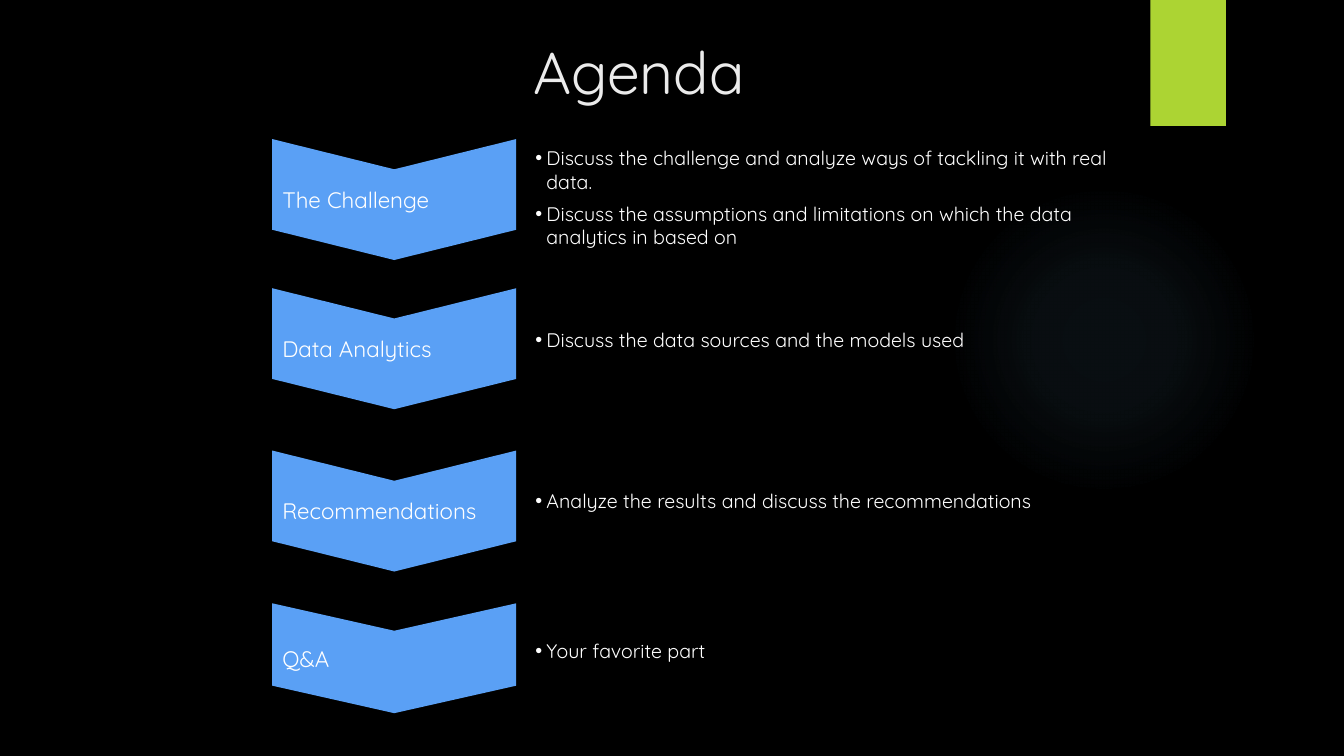
"""Build the agenda slide with four chevron steps and their notes."""
from lxml import etree
from pptx import Presentation, util as u
from pptx.dml.color import RGBColor
from pptx.enum import shapes, text
from pptx.oxml import ns, parse_xml

STEPS = [
    ("The Challenge", 1.98, 1.2, 1.45, 0.98, 5.96, [
        "Discuss the challenge and analyze ways of tackling it with real data.",
        "Discuss the assumptions and limitations on which the data analytics in based on"]),
    ("Data Analytics", 3.46, 1.2, 3.25, 0.24, 5.96,
     ["Discuss the data sources and the models used"]),
    ("Recommendations", 5.07, 1.2, 4.85, 0.24, 6.4,
     ["Analyze the results and discuss the recommendations"]),
    ("Q&A", 6.53, 1.09, 6.34, 0.24, 5.96, ["Your favorite part"]),
]


def hue(code):
    return RGBColor.from_string(code)


def apply(item, form):
    for name, value in form.items():
        setattr(item, name, value)


class Deck:
    """Hold the style and the current slide."""
    font = "Quicksand"
    blue, lime, glow = "5AA0F5", "ACD433", "7AC4F0"
    white, pale, black = "FFFFFF", "EBEBEB", "000000"
    chevron = (2.7, 2.42)

    def __init__(self):
        self.prs = Presentation()
        apply(self.prs, {"slide_width": u.Inches(13.33), "slide_height": u.Inches(7.5)})
        self.slide = self.prs.slides.add_slide(self.prs.slide_layouts[4])
        back = self.slide.background.fill
        back.solid()
        back.fore_color.rgb = hue(self.black)

    def place(self, item, left, top, width, height):
        apply(item, {"left": u.Inches(left), "top": u.Inches(top),
                     "width": u.Inches(width), "height": u.Inches(height)})

    def label(self, frame, lines, size, color, align, inset=0, before=0,
              anchor=text.MSO_ANCHOR.TOP):
        frame.text = "\n".join(lines)
        apply(frame, {"word_wrap": True, "auto_size": text.MSO_AUTO_SIZE.NONE,
                      "vertical_anchor": anchor})
        apply(frame, {"margin_" + side: u.Inches(inset)
                      for side in ("left", "top", "right", "bottom")})
        for para in frame.paragraphs:
            apply(para, {"alignment": align, "space_before": u.Pt(before),
                         "line_spacing": 1.0})
            for run in para.runs:
                apply(run.font, {"name": self.font, "size": u.Pt(size), "bold": False})
                run.font.color.rgb = hue(color)

    def shape(self, kind, box, color):
        item = self.slide.shapes.add_shape(kind, *map(u.Inches, box))
        item.shadow.inherit = False
        item.fill.solid()
        item.fill.fore_color.rgb = hue(color)
        item.line.fill.background()
        return item

    def halo(self, box):
        item = self.shape(shapes.MSO_SHAPE.OVAL, box, self.glow)
        stops = "".join(
            f'<a:gs pos="{pos}000"><a:srgbClr val="{self.glow}">'
            f'<a:alpha val="{alpha}000"/></a:srgbClr></a:gs>'
            for pos, alpha in ((0, 7), (36, 6), (69, 0), (100, 0)))
        grad = parse_xml(
            f'<a:gradFill {ns.nsdecls("a")}><a:gsLst>{stops}</a:gsLst>'
            '<a:path path="circle"><a:fillToRect l="50000" t="50000" '
            'r="50000" b="50000"/></a:path></a:gradFill>')
        solid = item.element.spPr.find(ns.qn("a:solidFill"))
        solid.getparent().replace(solid, grad)
        self.slide.shapes.element.insert(2, item.element)

    def title(self, words, box):
        item = self.slide.shapes.title
        self.place(item, *box)
        self.label(item.text_frame, [words], 42, self.pale, text.PP_ALIGN.CENTER)

    def step(self, words, middle, tall):
        left, wide = self.chevron
        box = (left + (wide - tall) / 2, middle - wide / 2, tall, wide)
        item = self.shape(shapes.MSO_SHAPE.CHEVRON, box, self.blue)
        item.rotation = 90
        item.adjustments[0] = 0.25
        self.label(item.text_frame, [words], 16, self.white, text.PP_ALIGN.LEFT,
                   inset=0.1, anchor=text.MSO_ANCHOR.MIDDLE)
        item.element.txBody.bodyPr.set("vert", "vert270")

    def notes(self, index, lines, box):
        item = self.slide.placeholders[index]
        self.place(item, *box)
        self.label(item.text_frame, lines, 14, self.white, text.PP_ALIGN.LEFT, before=6)
        for para in item.element.txBody.p_lst:
            props = para.get_or_add_pPr()
            props.set("marL", str(u.Inches(0.11)))
            props.set("indent", str(u.Inches(-0.11)))
            etree.SubElement(props, ns.qn("a:buFont"), typeface="Arial")
            etree.SubElement(props, ns.qn("a:buChar"), char="•")


def main():
    deck = Deck()
    deck.halo((9.41, 1.83, 3.08, 3.08))
    deck.shape(shapes.MSO_SHAPE.RECTANGLE, (11.41, 0, 0.75, 1.25), deck.lime)
    deck.title("Agenda", (0.22, 0.35, 12.24, 0.83))
    for index, (name, middle, tall, top, height, wide, lines) in enumerate(STEPS, 1):
        deck.step(name, middle, tall)
        deck.notes(index, lines, (5.31, top, wide, height))
    deck.prs.save("out.pptx")


if __name__ == "__main__":
    main()
